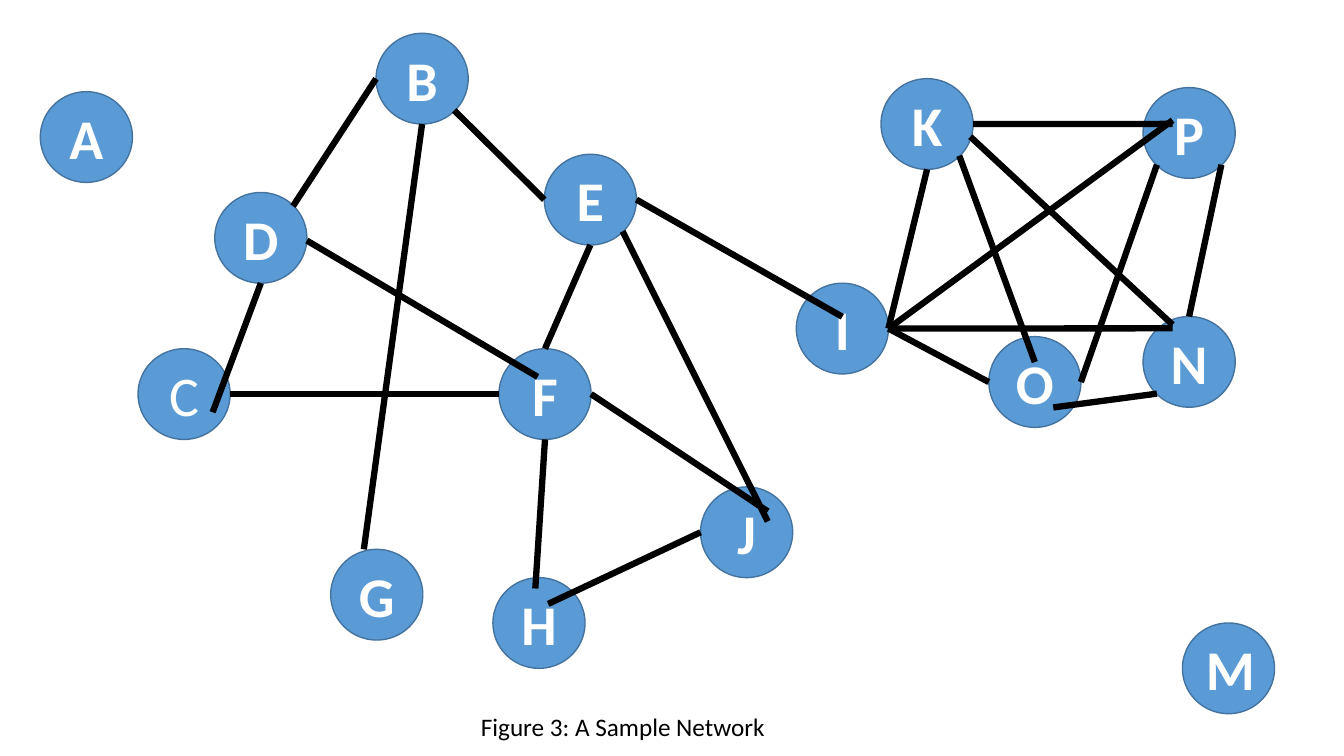
from dataclasses import dataclass

from lxml import etree
from pptx import Presentation
from pptx.dml.color import RGBColor
from pptx.enum.shapes import MSO_CONNECTOR, MSO_SHAPE
from pptx.enum.text import MSO_ANCHOR, MSO_AUTO_SIZE, PP_ALIGN
from pptx.oxml.ns import qn
from pptx.util import Pt

NODE_SHAPE = MSO_SHAPE.FLOWCHART_CONNECTOR
STRAIGHT = MSO_CONNECTOR.STRAIGHT
MIDDLE = MSO_ANCHOR.MIDDLE
CENTER = PP_ALIGN.CENTER
FIT_SHAPE = MSO_AUTO_SIZE.SHAPE_TO_FIT_TEXT


@dataclass(frozen=True)
class Theme:
    font: str = "Calibri"
    node_fill: RGBColor = RGBColor(0x5B, 0x9B, 0xD5)
    node_border: RGBColor = RGBColor(0x43, 0x73, 0x9E)
    node_text: RGBColor = RGBColor(0xFF, 0xFF, 0xFF)
    ink: RGBColor = RGBColor(0, 0, 0)
    node_size: int = 40
    caption_size: int = 18
    border_width: float = 1
    edge_width: float = 4.5


THEME = Theme()

# Node size and top-left corners, in points
NODE_W, NODE_H = 65.8, 64.8
NODES = {
    "A": (28.8, 65.5), "B": (268.6, 23.8), "C": (98.6, 249.1),
    "D": (153.4, 137.5), "E": (388.8, 110.2), "F": (356.4, 249.1),
    "G": (236.2, 392.4), "H": (352.1, 412.6), "I": (568.8, 202.3),
    "J": (500.4, 347.8), "K": (629.3, 56.2), "M": (844.6, 445),
    "N": (816.5, 226.1), "O": (706.3, 240.5), "P": (816.5, 62.6),
}
REGULAR_NODES = {"C"}

# Places on a node, as fractions of its width and height
TOP, BOTTOM, LEFT, RIGHT = (0.5, 0), (0.5, 1), (0, 0.5), (1, 0.5)
TOP_RIGHT, BOTTOM_LEFT, BOTTOM_RIGHT = (0.85, 0.15), (0.15, 0.85), (0.85, 0.85)

# Start node, place on it, end node, place on it
EDGES = [
    ("B", LEFT, "D", TOP_RIGHT),
    ("B", BOTTOM, "G", (0.36, 0)),
    ("B", BOTTOM_RIGHT, "E", LEFT),
    ("D", BOTTOM, "C", (0.81, 0.7)),
    ("D", (1, 0.53), "F", (0.42, 0.31)),
    ("C", RIGHT, "F", LEFT),
    ("E", BOTTOM, "F", TOP),
    ("E", BOTTOM_RIGHT, "J", (0.73, 0.38)),
    ("E", RIGHT, "I", (0.5, 0.37)),
    ("F", RIGHT, "J", (0.73, 0.27)),
    ("F", BOTTOM, "H", (0.46, 0.12)),
    ("H", (0.6, 0.29), "J", LEFT),
    ("I", RIGHT, "K", BOTTOM),
    ("I", RIGHT, "P", (0.32, 0.36)),
    ("I", RIGHT, "N", (0.32, 0.13)),
    ("I", RIGHT, "O", LEFT),
    ("K", RIGHT, "P", (0.32, 0.4)),
    ("K", BOTTOM_RIGHT, "O", (0.5, 0.28)),
    ("K", (0.97, 0.64), "N", (0.32, 0.09)),
    ("O", RIGHT, "P", BOTTOM_LEFT),
    ("O", (0.7, 0.78), "N", BOTTOM_LEFT),
    ("N", TOP, "P", BOTTOM_RIGHT),
]


def write(frame, text, size, color, bold=False):
    label = frame.paragraphs[0]
    label.text = text
    label.alignment = CENTER
    label.font.name = THEME.font
    label.font.size = Pt(size)
    label.font.bold = bold
    label.font.color.rgb = color


def add_node(slide, letter):
    left, top = NODES[letter]
    node = slide.shapes.add_shape(NODE_SHAPE, Pt(left), Pt(top), Pt(NODE_W), Pt(NODE_H))
    node.shadow.inherit = False
    node.fill.solid()
    node.fill.fore_color.rgb = THEME.node_fill
    node.line.color.rgb = THEME.node_border
    node.line.width = Pt(THEME.border_width)
    node.text_frame.vertical_anchor = MIDDLE
    write(node.text_frame, letter, THEME.node_size, THEME.node_text,
          bold=letter not in REGULAR_NODES)


def place_on(letter, place):
    left, top = NODES[letter]
    return Pt(left + place[0] * NODE_W), Pt(top + place[1] * NODE_H)


def add_edge(slide, start, start_place, end, end_place):
    edge = slide.shapes.add_connector(
        STRAIGHT, *place_on(start, start_place), *place_on(end, end_place))
    edge.line.color.rgb = THEME.ink
    edge.line.width = Pt(THEME.edge_width)
    etree.SubElement(edge._element.spPr, qn("a:effectLst"))


def add_caption(slide, text):
    caption = slide.shapes.add_textbox(Pt(194.4), Pt(504.7), Pt(501.1), Pt(29))
    caption.text_frame.word_wrap = True
    caption.text_frame.auto_size = FIT_SHAPE
    write(caption.text_frame, text, THEME.caption_size, THEME.ink)


def main():
    deck = Presentation()
    deck.slide_width, deck.slide_height = Pt(960), Pt(540)
    slide = deck.slides.add_slide(deck.slide_layouts[6])

    # Network: nodes first, edges on top
    for letter in NODES:
        add_node(slide, letter)
    for edge in EDGES:
        add_edge(slide, *edge)

    # Caption
    add_caption(slide, "Figure 3: A Sample Network")

    deck.save("out.pptx")


if __name__ == "__main__":
    main()
